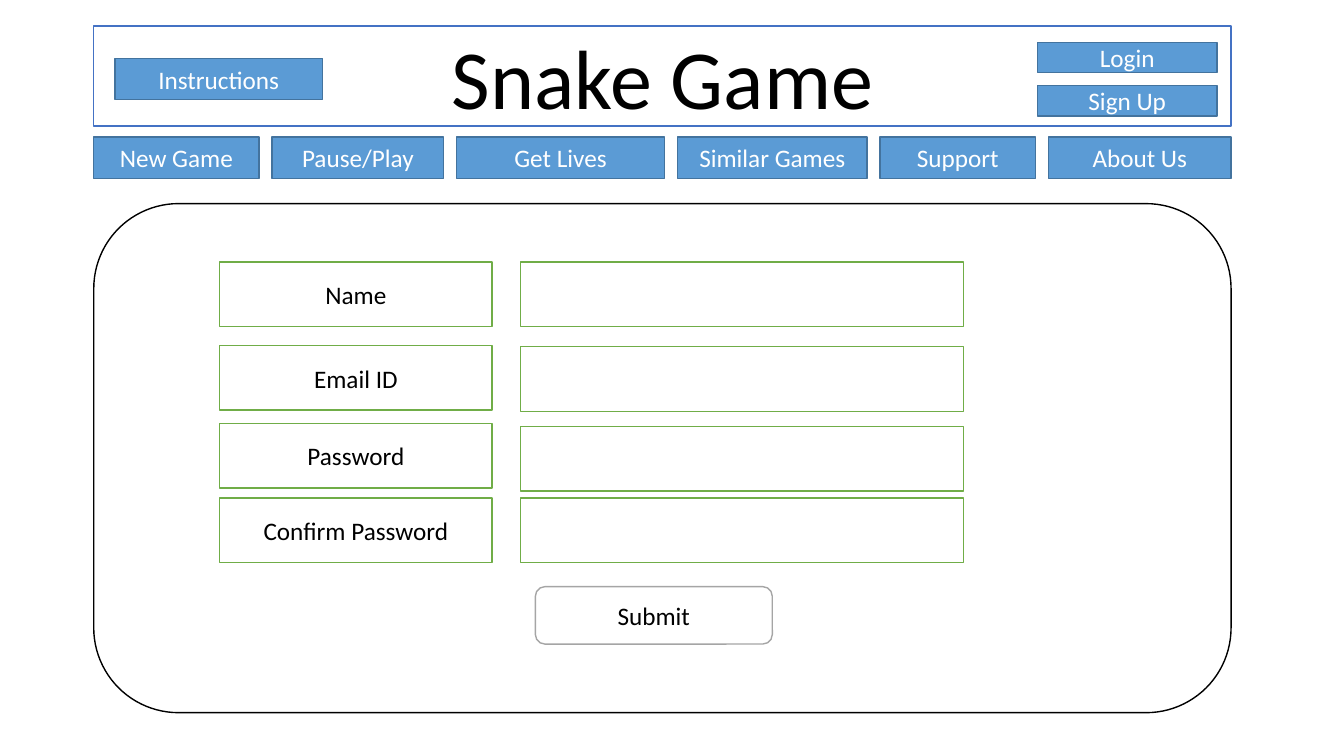
import dataclasses

import pptx
import pptx.dml.color
import pptx.enum.shapes
import pptx.enum.text
import pptx.util

RECT = pptx.enum.shapes.MSO_SHAPE.RECTANGLE
ROUND = pptx.enum.shapes.MSO_SHAPE.ROUNDED_RECTANGLE


@dataclasses.dataclass(frozen=True)
class Theme:
    font: str = "Calibri"
    title_size: int = 60
    body_size: int = 18
    line_width: float = 1
    white: str = "FFFFFF"
    black: str = "000000"
    button: str = "5B9BD5"
    button_line: str = "43739E"
    header_line: str = "4472C4"
    field_line: str = "70AD47"
    submit_line: str = "A5A5A5"


THEME = Theme()


def rgb(value):
    return pptx.dml.color.RGBColor.from_string(value)


def place(sp, box):
    sp.left, sp.top, sp.width, sp.height = map(pptx.util.Inches, box)


def paint(sp, fill, line):
    sp.fill.solid()
    sp.fill.fore_color.rgb = rgb(fill)
    sp.line.color.rgb = rgb(line)
    sp.line.width = pptx.util.Pt(THEME.line_width)


def write(sp, text, size, color):
    tf = sp.text_frame
    tf.word_wrap = True
    tf.auto_size = pptx.enum.text.MSO_AUTO_SIZE.NONE
    tf.vertical_anchor = pptx.enum.text.MSO_ANCHOR.MIDDLE
    p = tf.paragraphs[0]
    p.alignment = pptx.enum.text.PP_ALIGN.CENTER
    r = p.add_run()
    r.text = text
    r.font.name = THEME.font
    r.font.size = pptx.util.Pt(size)
    r.font.color.rgb = rgb(color)


def add_box(slide, box, line, text="", kind=RECT, fill=THEME.white, color=THEME.black):
    sp = slide.shapes.add_shape(kind, *map(pptx.util.Inches, box))
    sp.shadow.inherit = False
    paint(sp, fill, line)
    if text:
        write(sp, text, THEME.body_size, color)


def add_button(slide, box, text):
    add_box(slide, box, THEME.button_line, text, fill=THEME.button, color=THEME.white)


def add_header(slide, box):
    left, top, width, height = box

    # Framed title
    title = slide.shapes.title
    place(title, box)
    paint(title, THEME.white, THEME.header_line)
    write(title, "Snake Game", THEME.title_size, THEME.black)

    # Instructions on the left, account buttons stacked on the right
    add_button(slide, (left + 0.21, top + 0.32, 2.06, 0.41), "Instructions")
    for row, text in enumerate(("Login", "Sign Up")):
        add_button(slide, (left + width - 1.92, top + 0.16 + row * 0.43, 1.78, 0.3), text)


def add_navigation(slide, box):
    left, top, width, height = box
    items = (("New Game", 1.64), ("Pause/Play", 1.7), ("Get Lives", 2.06),
             ("Similar Games", 1.88), ("Support", 1.54), ("About Us", 1.81))
    gap = (width - sum(w for _, w in items)) / (len(items) - 1)
    for text, item_width in items:
        add_button(slide, (left, top, item_width, height), text)
        left += item_width + gap


def add_form(slide, box):
    left, top, width, height = box
    add_box(slide, box, THEME.black, kind=ROUND)

    # Each row: label, label offset, entry offset
    rows = (("Name", 0.58, 0.58), ("Email ID", 1.41, 1.42),
            ("Password", 2.18, 2.21), ("Confirm Password", 2.92, 2.92))
    for text, label_y, entry_y in rows:
        add_box(slide, (left + 1.25, top + label_y, 2.7, 0.64), THEME.field_line, text)
        add_box(slide, (left + 4.23, top + entry_y, 4.4, 0.64), THEME.field_line)

    # Submit button
    add_box(slide, (left + 4.38, top + 3.8, 2.35, 0.57), THEME.submit_line, "Submit", ROUND)


def main():
    prs = pptx.Presentation()
    prs.slide_width = pptx.util.Inches(13.33)
    prs.slide_height = pptx.util.Inches(7.5)
    slide = prs.slides.add_slide(prs.slide_layouts.get_by_name("Title Only"))

    left, width = 0.93, 11.28
    add_header(slide, (left, 0.26, width, 0.99))
    add_navigation(slide, (left, 1.36, width, 0.41))
    add_form(slide, (left, 2.02, width, 5.05))
    prs.save("out.pptx")


if __name__ == "__main__":
    main()
